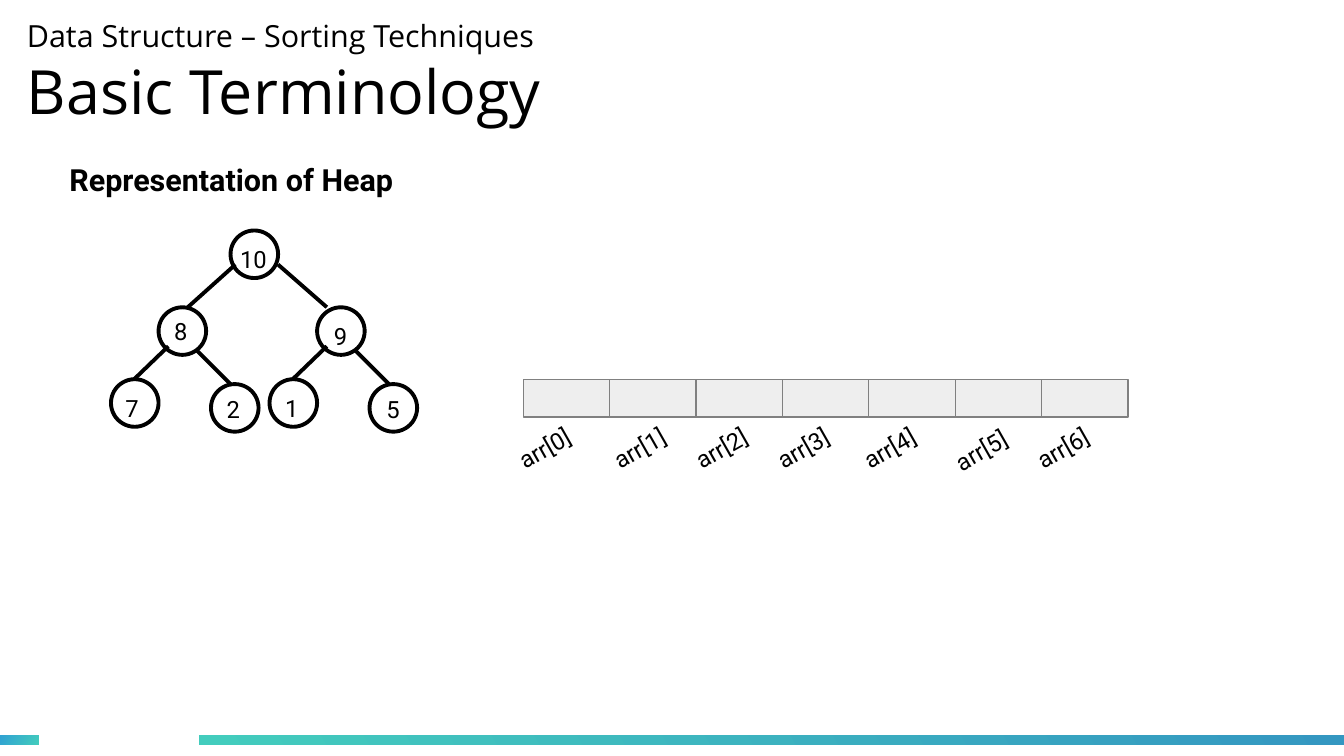
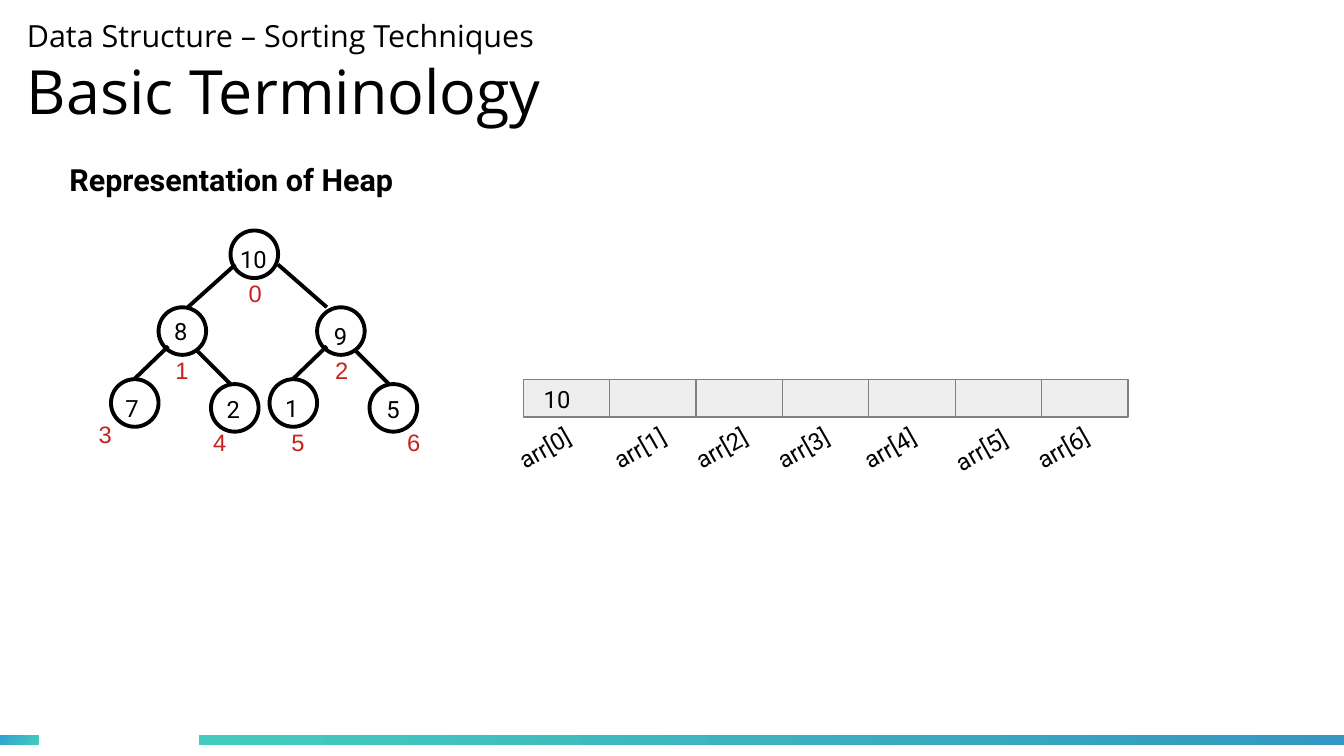
"""Two slides on how a heap is stored in an array."""
from lxml.etree import SubElement
from pptx import Presentation
from pptx.dml.color import RGBColor
from pptx.enum.shapes import MSO_CONNECTOR, MSO_SHAPE
from pptx.enum.text import MSO_ANCHOR, MSO_AUTO_SIZE, PP_ALIGN
from pptx.oxml.ns import qn
from pptx.util import Inches, Pt

COLORS = {"ink": "000000", "paper": "FFFFFF", "cell": "EEEEEE", "border": "808080",
          "index": "C9211E", "teal": "43CCBD", "sky": "30A2D2", "blue": "3497C1"}
RGB = {name: RGBColor.from_string(value) for name, value in COLORS.items()}
UNIT = Inches(0.1)

SUBTREE_STEP = 13
NODE = 3.9
ROOT = (18.9, 18.9)
SUBTREE_NODES = [(13, 25.2), (9.1, 31.1), (17.3, 31.5)]
ROOT_EDGES = [(19.3, 21.7, 15.4, 25.2), (22.8, 21.7, 26.8, 25.2)]
SUBTREE_EDGES = [(13.8, 28.4, 11, 31.1), (16.1, 28.7, 18.9, 31.5)]
VALUES = [("10", 18.7, 19.6), ("8", 13.3, 25.5), ("9", 26.4, 25.9), ("7", 9.3, 31.8),
          ("2", 17.6, 31.9), ("1", 22.4, 31.8), ("5", 30.7, 31.9)]
INDEXES = [(19.4, 22.4), (13.4, 28.7), (26.5, 28.7), (7.1, 33.9),
           (16.5, 34.6), (22.9, 34.6), (32.4, 34.6)]

ARRAY_LEFT, ARRAY_TOP = 42.9, 31.1
CELL_W, CELL_H = 49.6 / 7, 3.1
ARRAY_LABELS = [(41.4, 34.5), (49.2, 34.5), (55.9, 34.5), (62.6, 34.5),
                (69.7, 34.5), (77.2, 34.7), (83.9, 34.5)]


def grid(*lengths):
    return [round(n * UNIT) for n in lengths]


def label(shapes, text, at, font="Roboto", size=14, color="ink", wrap=False):
    box = shapes.add_textbox(*grid(*at))
    tf = box.text_frame
    tf.text = text
    tf.word_wrap = wrap
    tf.auto_size = MSO_AUTO_SIZE.SHAPE_TO_FIT_TEXT
    r = tf.paragraphs[0].runs[0]
    r.font.name, r.font.size, r.font.color.rgb = font, Pt(size), RGB[color]
    return box


prs = Presentation()
prs.slide_width, prs.slide_height = grid(110.2, 62)
layout = prs.slide_layouts[5]

for number in range(2):
    s = prs.slides.add_slide(layout)

    if number == 0:
        for left, width, end, flips in [(0, 3.2, "sky", ["flipV"]),
                                        (16.3, 94, "blue", ["flipH", "flipV"])]:
            band = s.shapes.add_shape(MSO_SHAPE.RECTANGLE, *grid(left, 60.3, width, 0.8))
            band.shadow.inherit = False
            band.line.fill.background()
            band.fill.gradient()
            band.fill.gradient_angle = 210
            for stop, color in zip(band.fill.gradient_stops, ["teal", end]):
                stop.color.rgb = RGB[color]
            for flip in flips:
                band.element.spPr.find(qn("a:xfrm")).set(flip, "1")
            layout.element.cSld.spTree.append(band.element)

    title = s.shapes.title
    title.left, title.top, title.width, title.height = grid(2.2, 0.8, 76.8, 10.2)
    tf = title.text_frame
    tf.text = "Data Structure – Sorting Techniques\vBasic Terminology"
    tf.margin_left = tf.margin_top = tf.margin_right = tf.margin_bottom = 0
    tf.vertical_anchor = MSO_ANCHOR.MIDDLE
    tf.auto_size = MSO_AUTO_SIZE.SHAPE_TO_FIT_TEXT
    p = tf.paragraphs[0]
    p.alignment = PP_ALIGN.LEFT
    for r, size in zip(p.runs, [18, 36]):
        r.font.name, r.font.size, r.font.color.rgb = "Open Sans", Pt(size), RGB["ink"]
    for br in title.element.iter(qn("a:br")):
        SubElement(br, qn("a:rPr")).set("sz", "1800")

    heading = label(s.shapes, "Representation of Heap", (4.7, 12.7, 35.5, 4.4), size=18)
    heading.text_frame.paragraphs[0].runs[0].font.bold = True

    tree = s.shapes.add_group_shape().shapes
    nodes, edges = [ROOT], list(ROOT_EDGES)
    for shift in (0, SUBTREE_STEP):
        nodes += [(x + shift, y) for x, y in SUBTREE_NODES]
        edges += [(x1 + shift, y1, x2 + shift, y2) for x1, y1, x2, y2 in SUBTREE_EDGES]
    for x, y in nodes:
        node = tree.add_shape(MSO_SHAPE.OVAL, *grid(x, y, NODE, NODE))
        node.shadow.inherit = False
        node.fill.solid()
        node.fill.fore_color.rgb = RGB["paper"]
        node.line.color.rgb = RGB["ink"]
        node.line.width = Pt(2.3)
    for ends in edges:
        edge = tree.add_connector(MSO_CONNECTOR.STRAIGHT, *grid(*ends))
        edge.line.color.rgb = RGB["ink"]
        edge.line.width = Pt(2.3)
        SubElement(edge.element.spPr, qn("a:effectLst"))
    for value, x, y in VALUES:
        label(tree, value, (x, y, 2 + 1.2 * len(value), 3.6))

    array = s.shapes.add_group_shape().shapes
    for i in range(7):
        cell = array.add_shape(MSO_SHAPE.RECTANGLE,
                               *grid(ARRAY_LEFT + i * CELL_W, ARRAY_TOP, CELL_W, CELL_H))
        cell.shadow.inherit = False
        cell.fill.solid()
        cell.fill.fore_color.rgb = RGB["cell"]
        cell.line.color.rgb = RGB["border"]
        cell.line.width = 0
    for i, (x, y) in enumerate(ARRAY_LABELS):
        label(array, f"arr[{i}]", (x, y, 8.6, 3.9), wrap=True).rotation = 330.4

    if number == 1:
        label(s.shapes, "10", (43.6, ARRAY_TOP, 4.4, 3.6))
        for i, (x, y) in enumerate(INDEXES):
            label(tree, str(i), (x, y, 3.1, 3.2), font="Arial", color="index")

prs.save("out.pptx")
